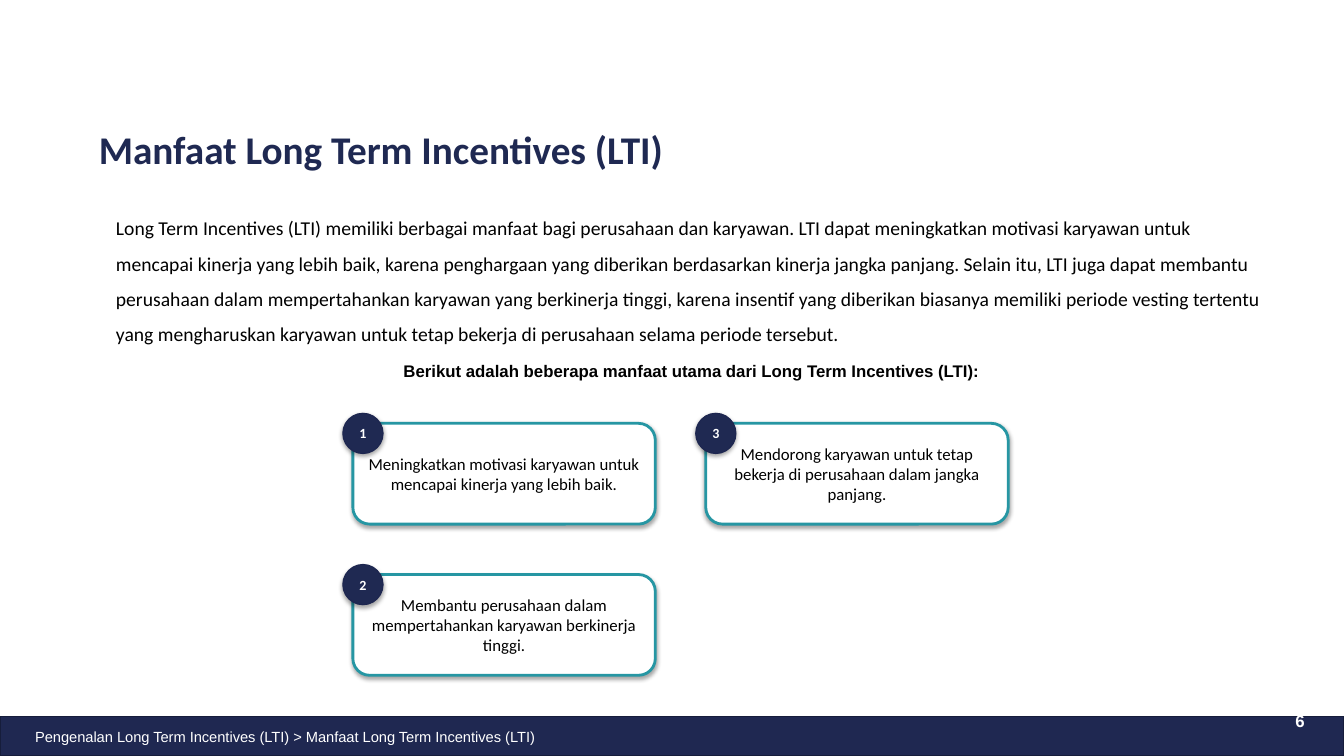
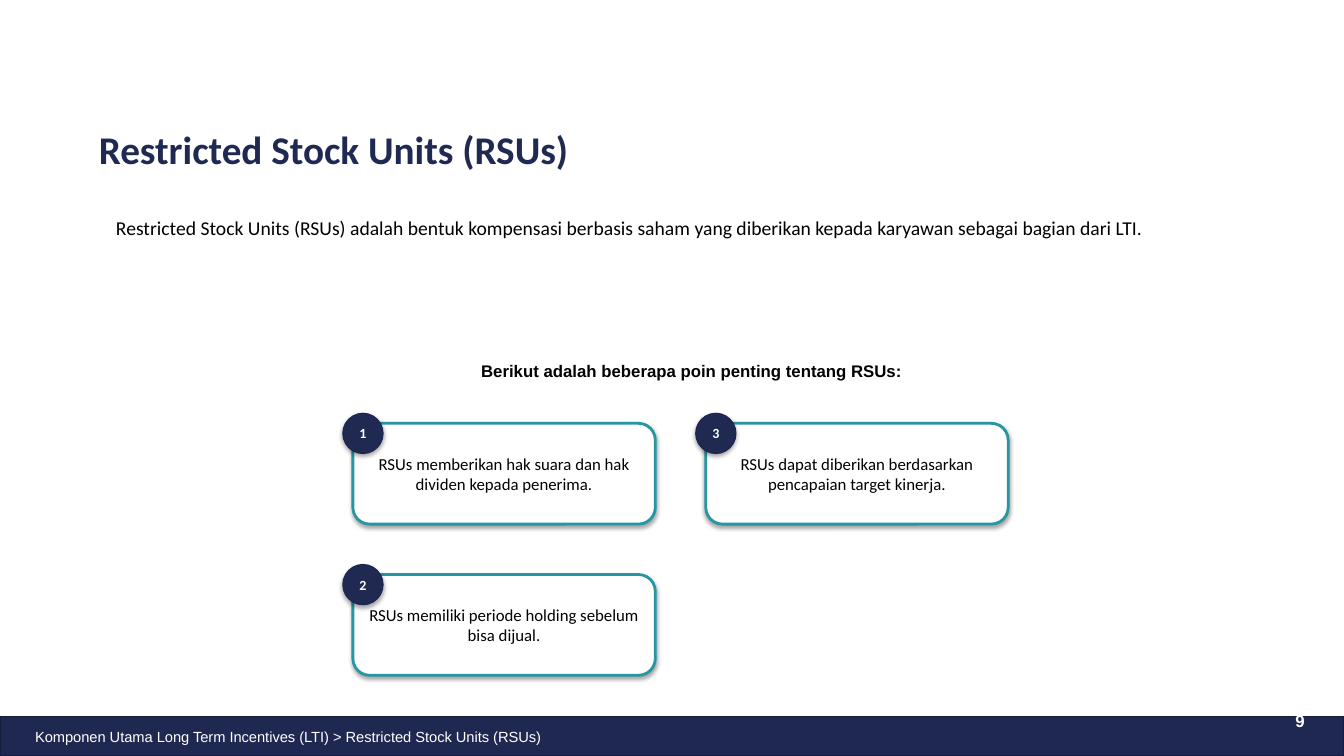
import pptx
import pptx.dml.color
import pptx.enum.shapes
import pptx.enum.text
import pptx.oxml.ns
import pptx.util
import lxml.etree
from pptx.util import Inches

NAVY = "1F2952"
WHITE = "FFFFFF"
BLACK = "000000"
ALIGN = pptx.enum.text.PP_ALIGN
ANCHOR = pptx.enum.text.MSO_ANCHOR
PRESET = pptx.enum.shapes.MSO_SHAPE

BREADCRUMB_BOX = (0, 7.11, 11.8, 0.4)
PAGE_BOX = (12.58, 7.02, 0.66, 0.57)
TITLE_BOX = (0.88, 1.13, 11.8, 0.76)
INTRO_BOX = (0.88, 1.98, 11.8, 1.2)
LEAD_BOX = (3.58, 3.55, 6.39, 0.4)
CARDS_BOX = (3.5, 4.2, 6.5, 2.5)
CARD_SIZE = (3, 1)
CARD_GAP = 0.5
BADGE_SIZE = 0.4
BADGE_OVERHANG = 0.1

SLIDES = [
    {
        "breadcrumb": "Pengenalan Long Term Incentives (LTI) > Manfaat Long Term Incentives (LTI)",
        "page": "6",
        "title": "Manfaat Long Term Incentives (LTI)",
        "intro": "Long Term Incentives (LTI) memiliki berbagai manfaat bagi perusahaan dan karyawan. "
                 "LTI dapat meningkatkan motivasi karyawan untuk mencapai kinerja yang lebih baik, "
                 "karena penghargaan yang diberikan berdasarkan kinerja jangka panjang. Selain itu, "
                 "LTI juga dapat membantu perusahaan dalam mempertahankan karyawan yang berkinerja "
                 "tinggi, karena insentif yang diberikan biasanya memiliki periode vesting tertentu "
                 "yang mengharuskan karyawan untuk tetap bekerja di perusahaan selama periode tersebut.",
        "lead": "Berikut adalah beberapa manfaat utama dari Long Term Incentives (LTI):",
        "points": [
            "Meningkatkan motivasi karyawan untuk mencapai kinerja yang lebih baik.",
            "Membantu perusahaan dalam mempertahankan karyawan berkinerja tinggi.",
            "Mendorong karyawan untuk tetap bekerja di perusahaan dalam jangka panjang.",
        ],
    },
    {
        "breadcrumb": "Komponen Utama Long Term Incentives (LTI) > Restricted Stock Units (RSUs)",
        "page": "9",
        "title": "Restricted Stock Units (RSUs)",
        "intro": "Restricted Stock Units (RSUs) adalah bentuk kompensasi berbasis saham yang "
                 "diberikan kepada karyawan sebagai bagian dari LTI.",
        "lead": "Berikut adalah beberapa poin penting tentang RSUs:",
        "points": [
            "RSUs memberikan hak suara dan hak dividen kepada penerima.",
            "RSUs memiliki periode holding sebelum bisa dijual.",
            "RSUs dapat diberikan berdasarkan pencapaian target kinerja.",
        ],
    },
]


def rgb(value):
    return pptx.dml.color.RGBColor.from_string(value)


def place(part, box):
    part.left, part.top, part.width, part.height = map(Inches, box)


def write(part, text, size, color=BLACK, font="Calibri", bold=False, align=ALIGN.LEFT,
          anchor=ANCHOR.TOP, margin=0, indent=0, line_spacing=1.0, before=0):
    frame = part.text_frame
    frame.word_wrap = True
    frame.auto_size = pptx.enum.text.MSO_AUTO_SIZE.NONE
    frame.vertical_anchor = anchor
    paragraph = frame.paragraphs[0]
    paragraph.alignment = align
    paragraph.line_spacing = line_spacing
    paragraph.space_before = pptx.util.Pt(before)
    properties = paragraph._p.get_or_add_pPr()
    properties.set("marL", str(Inches(margin)))
    properties.set("indent", str(Inches(indent)))
    lxml.etree.SubElement(properties, pptx.oxml.ns.qn("a:buNone"))
    run = paragraph.add_run()
    run.text = text
    run.font.size = pptx.util.Pt(size)
    run.font.name = font
    run.font.bold = bold
    run.font.color.rgb = rgb(color)


def add_outlined(slide, preset, box, fill, line, weight):
    part = slide.shapes.add_shape(preset, *map(Inches, box))
    part.fill.solid()
    part.fill.fore_color.rgb = rgb(fill)
    part.line.color.rgb = rgb(line)
    part.line.width = pptx.util.Pt(weight)
    return part


def add_layout_band(slide):
    band = add_outlined(slide, PRESET.RECTANGLE, (0, 7.11, 13.33, 0.39), "1F2851", "161D3B", 1)
    band.shadow.inherit = False
    slide.slide_layout.shapes.element.insert(2, band.element)


def add_label(slide, box, text, size, **style):
    label = slide.shapes.add_textbox(*map(Inches, box))
    write(label, text, size, font="Arial", **style)


def add_footer(slide, breadcrumb, page):
    add_label(slide, BREADCRUMB_BOX, breadcrumb, 10.5, color=WHITE, anchor=ANCHOR.MIDDLE,
              margin=0.5, indent=-0.25)
    add_label(slide, PAGE_BOX, page, 12, color=WHITE, bold=True, margin=0.17,
              line_spacing=0.9, before=10)


def add_heading(slide, title, intro, lead):
    heading = slide.shapes.title
    place(heading, TITLE_BOX)
    write(heading, title, 28, color=NAVY, bold=True, anchor=ANCHOR.MIDDLE, line_spacing=0.9)
    body = slide.placeholders[1]
    place(body, INTRO_BOX)
    write(body, intro, 14, margin=0.17, line_spacing=1.5, before=10)
    add_label(slide, LEAD_BOX, lead, 12, bold=True, align=ALIGN.CENTER, margin=0.17,
              line_spacing=0.9)


def add_card(slide, box, number, point):
    left, top = box[:2]
    card = add_outlined(slide, PRESET.ROUNDED_RECTANGLE, box, WHITE, "2696A3", 2)
    write(card, point, 12, align=ALIGN.CENTER, anchor=ANCHOR.MIDDLE)
    badge_box = (left - BADGE_OVERHANG, top - BADGE_OVERHANG, BADGE_SIZE, BADGE_SIZE)
    badge = add_outlined(slide, PRESET.OVAL, badge_box, NAVY, "1D2650", 0.75)
    write(badge, str(number), 10, color=WHITE, bold=True, align=ALIGN.CENTER,
          anchor=ANCHOR.MIDDLE)


def add_cards(slide, box, points):
    left, top, _, height = box
    width, card_height = CARD_SIZE
    rows = 2
    row_step = (height - card_height) / (rows - 1)
    for index, point in enumerate(points):
        column, row = divmod(index, rows)
        card_box = (left + column * (width + CARD_GAP), top + row * row_step, width, card_height)
        add_card(slide, card_box, index + 1, point)


def main():
    deck = pptx.Presentation()
    deck.slide_width = Inches(13.33)
    deck.slide_height = Inches(7.5)
    layout = deck.slide_layouts[1]
    for position, content in enumerate(SLIDES):
        slide = deck.slides.add_slide(layout)
        if position == 0:
            add_layout_band(slide)
        add_footer(slide, content["breadcrumb"], content["page"])
        add_heading(slide, content["title"], content["intro"], content["lead"])
        add_cards(slide, CARDS_BOX, content["points"])
    deck.save("out.pptx")


if __name__ == "__main__":
    main()
